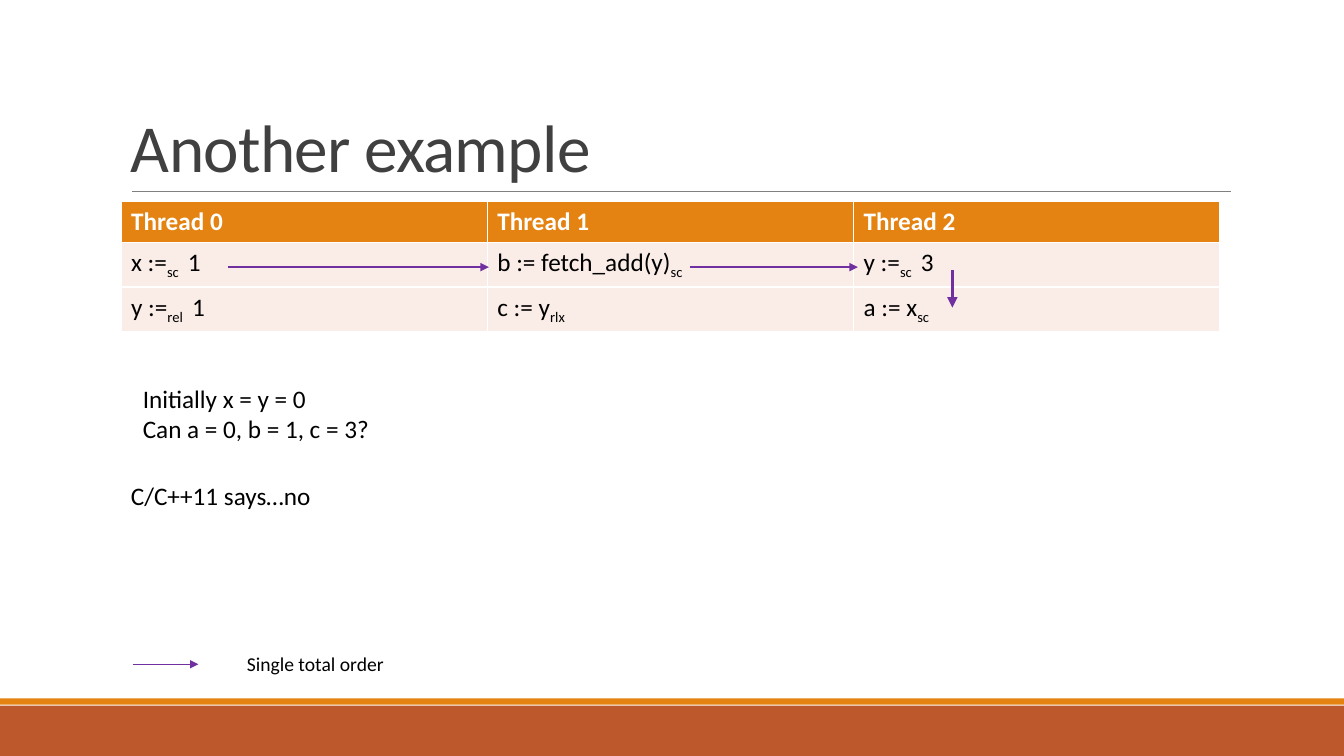
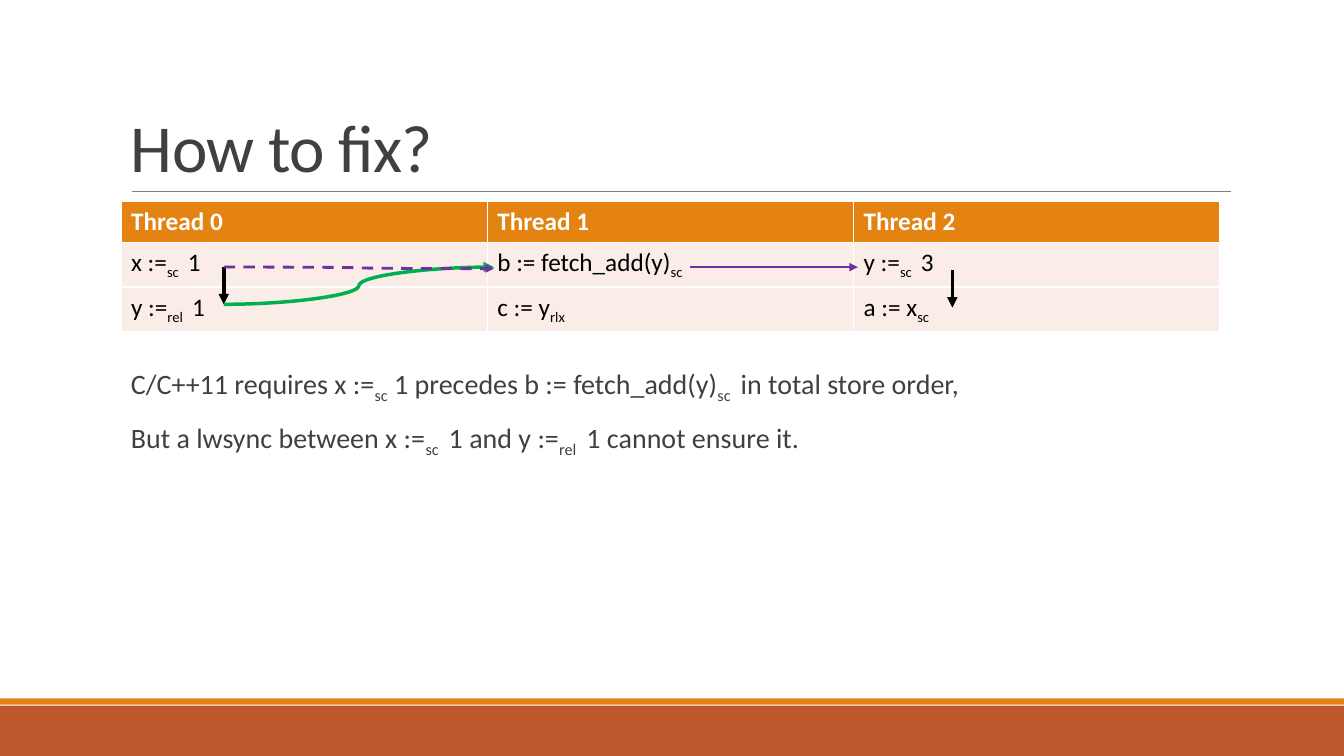
"""Builds two slides on memory ordering between three threads."""
from pptx import Presentation
from pptx.dml.color import RGBColor
from pptx.enum import dml, shapes, text
from pptx.oxml import ns, xmlchemy
from pptx.util import Cm, Pt

WHITE = RGBColor(0xFF, 0xFF, 0xFF)
BLACK = RGBColor(0, 0, 0)
CHARCOAL = RGBColor(0x40, 0x40, 0x40)
GREY = RGBColor(0x80, 0x80, 0x80)
ORANGE = RGBColor(0xE4, 0x83, 0x12)
RUST = RGBColor(0xBD, 0x58, 0x2C)
BLUSH = RGBColor(0xFA, 0xED, 0xE7)
PURPLE = RGBColor(0x70, 0x30, 0xA0)
GREEN = RGBColor(0x00, 0xB0, 0x50)

SLIDE_WIDTH, SLIDE_HEIGHT = 33.87, 19.05
LEFT = 3.05
COLUMN_WIDTH, ROW_HEIGHT = 9.23, 1.03
STORE_X = 5.64
FIRST_OP_Y, SECOND_OP_Y = 6.73, 7.67

TITLE = {"size": Pt(48)}
BODY = {"size": Pt(20)}
NOTE = {"size": Pt(18)}
LEGEND = {"size": Pt(14)}
HEADER = {"size": Pt(18), "bold": True}
CODE = {"size": Pt(18), "bold": False}

THREADS = [
    ["Thread 0", "Thread 1", "Thread 2"],
    ["x :=~sc ~ 1", "b := fetch_add(y)~sc", "y :=~sc ~ 3"],
    ["y :=~rel ~ 1", "c := y~rlx", "a := x~sc"],
]


def set_all(target, values):
    for name, value in values.items():
        setattr(target, name, value)


def write(paragraph, marked, style, color, spacing=None):
    """Fill a paragraph; parts between tildes become subscripts."""
    for index, part in enumerate(marked.split("~")):
        if not part:
            continue
        run = paragraph.add_run()
        run.text = part
        set_all(run.font, {"name": "Calibri", **style})
        run.font.color.rgb = color
        properties = run._r.get_or_add_rPr()
        if index % 2:
            properties.set("baseline", "-25000")
        if spacing:
            properties.set("spc", str(spacing))


def add_text(slide, box, lines, style, color=BLACK, spacing=None,
             frame_format=None, line_format=None, later_format=None):
    frame = slide.shapes.add_textbox(*map(Cm, box)).text_frame
    set_all(frame, {"word_wrap": True, **(frame_format or {})})
    for index, line in enumerate(lines):
        paragraph = frame.add_paragraph() if index else frame.paragraphs[0]
        set_all(paragraph, line_format or {})
        if index:
            set_all(paragraph, later_format or {})
        write(paragraph, line, style, color, spacing)


def add_band(slide, top, height, color):
    band = slide.shapes.add_shape(
        shapes.MSO_SHAPE.RECTANGLE, 0, Cm(top), Cm(SLIDE_WIDTH), Cm(height))
    band.shadow.inherit = False
    band.fill.solid()
    band.fill.fore_color.rgb = color
    band.line.fill.background()


def add_line(slide, start, end, color, width,
             kind=shapes.MSO_CONNECTOR.STRAIGHT):
    connector = slide.shapes.add_connector(kind, *map(Cm, (*start, *end)))
    connector.line.color.rgb = color
    connector.line.width = Pt(width)
    connector._element.spPr.append(xmlchemy.OxmlElement("a:effectLst"))
    return connector


def add_arrow(slide, start, end, color=PURPLE, width=2, dash=None, **kind):
    arrow = add_line(slide, start, end, color, width, **kind)
    if dash:
        arrow.line.dash_style = dash
    head = xmlchemy.OxmlElement("a:tailEnd")
    head.set("type", "triangle")
    arrow._element.spPr.find(ns.qn("a:ln")).append(head)


def add_threads(slide):
    rows, columns = len(THREADS), len(THREADS[0])
    table = slide.shapes.add_table(
        rows, columns, Cm(LEFT), Cm(5.08),
        Cm(columns * COLUMN_WIDTH), Cm(rows * ROW_HEIGHT)).table
    for row_index, operations in enumerate(THREADS):
        fill, color, style = (
            (BLUSH, BLACK, CODE) if row_index else (ORANGE, WHITE, HEADER))
        for column_index, operation in enumerate(operations):
            cell = table.cell(row_index, column_index)
            cell.fill.solid()
            cell.fill.fore_color.rgb = fill
            write(cell.text_frame.paragraphs[0], operation, style, color)


def add_base(deck, title):
    """Add a blank slide with the bands, rule and title."""
    slide = deck.slides.add_slide(deck.slide_layouts[6])
    add_band(slide, 17.78, 1.27, RUST)
    add_band(slide, 17.6, 0.16, ORANGE)
    add_line(slide, (3.33, 4.83), (31.01, 4.83), GREY, 0.5)
    add_text(slide, (LEFT, 0.79, 27.94, 4.04), [title], TITLE, CHARCOAL, -50,
             {"vertical_anchor": text.MSO_ANCHOR.BOTTOM},
             {"line_spacing": 0.85})
    return slide


def add_thread_arrows(slide, program_order_color):
    add_arrow(slide, (24, 6.81), (24, 7.75), program_order_color, 2.5)
    add_arrow(slide, (17.4, FIRST_OP_Y), (21.62, FIRST_OP_Y))


def build_example(deck):
    slide = add_base(deck, "Another example")
    add_threads(slide)
    add_arrow(slide, (3.35, 16.74), (5, 16.74), width=1)
    add_text(slide, (5.97, 16.31, 4.27, 0.86), ["Single total order"], LEGEND)
    add_text(slide, (LEFT, 11.99, 19.74, 1.02), ["C/C++11 says…no"], NOTE)
    add_text(slide, (3.35, 9.53, 27.38, 1.8),
             ["Initially x = y = 0", "Can a = 0, b = 1, c = 3?"], NOTE)
    add_thread_arrows(slide, PURPLE)
    add_arrow(slide, (5.74, FIRST_OP_Y), (12.32, FIRST_OP_Y))


def build_fix(deck):
    slide = add_base(deck, "How to fix?")
    add_text(slide, (LEFT, 9.12, 27.94, 7.19), [
        "C/C++11 requires x :=~sc~ 1 precedes b := fetch_add(y)~sc ~"
        " in total store order,",
        "But a lwsync between x :=~sc ~ 1 and y :=~rel ~ 1 cannot ensure it.",
    ], BODY, CHARCOAL,
        line_format={"line_spacing": 0.9, "space_after": Pt(2)},
        later_format={"space_before": Pt(12)})
    add_threads(slide)
    add_thread_arrows(slide, BLACK)
    store, release = (STORE_X, FIRST_OP_Y), (STORE_X, SECOND_OP_Y)
    curve = shapes.MSO_CONNECTOR.CURVE
    add_arrow(slide, store, release, BLACK, 2.5)
    add_arrow(slide, release, (12.45, FIRST_OP_Y), GREEN, 2.5, kind=curve)
    add_arrow(slide, store, (12.45, 6.77), dash=dml.MSO_LINE.DASH, kind=curve)


def main():
    deck = Presentation()
    set_all(deck, {"slide_width": Cm(SLIDE_WIDTH),
                   "slide_height": Cm(SLIDE_HEIGHT)})
    build_example(deck)
    build_fix(deck)
    deck.save("out.pptx")


if __name__ == "__main__":
    main()
